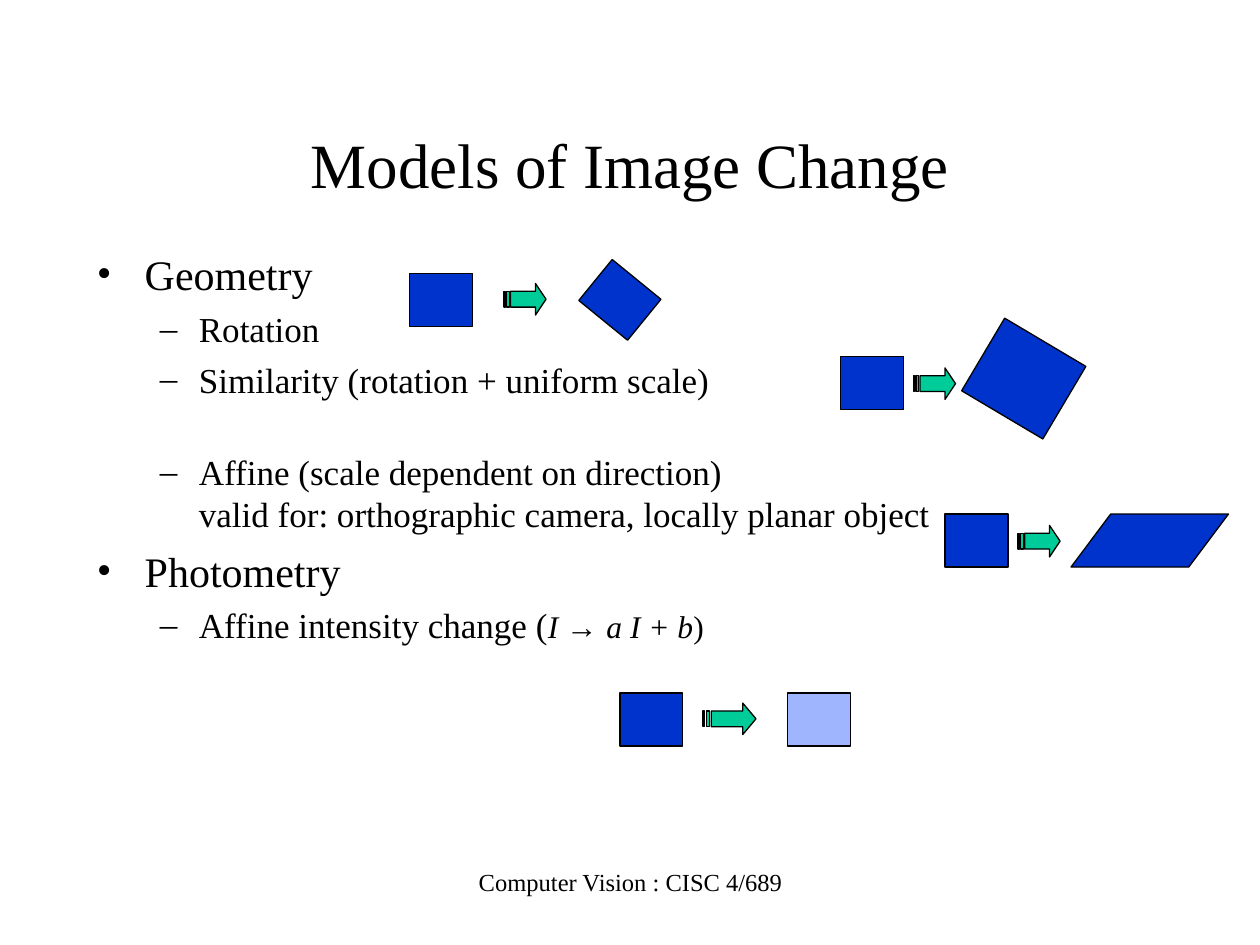
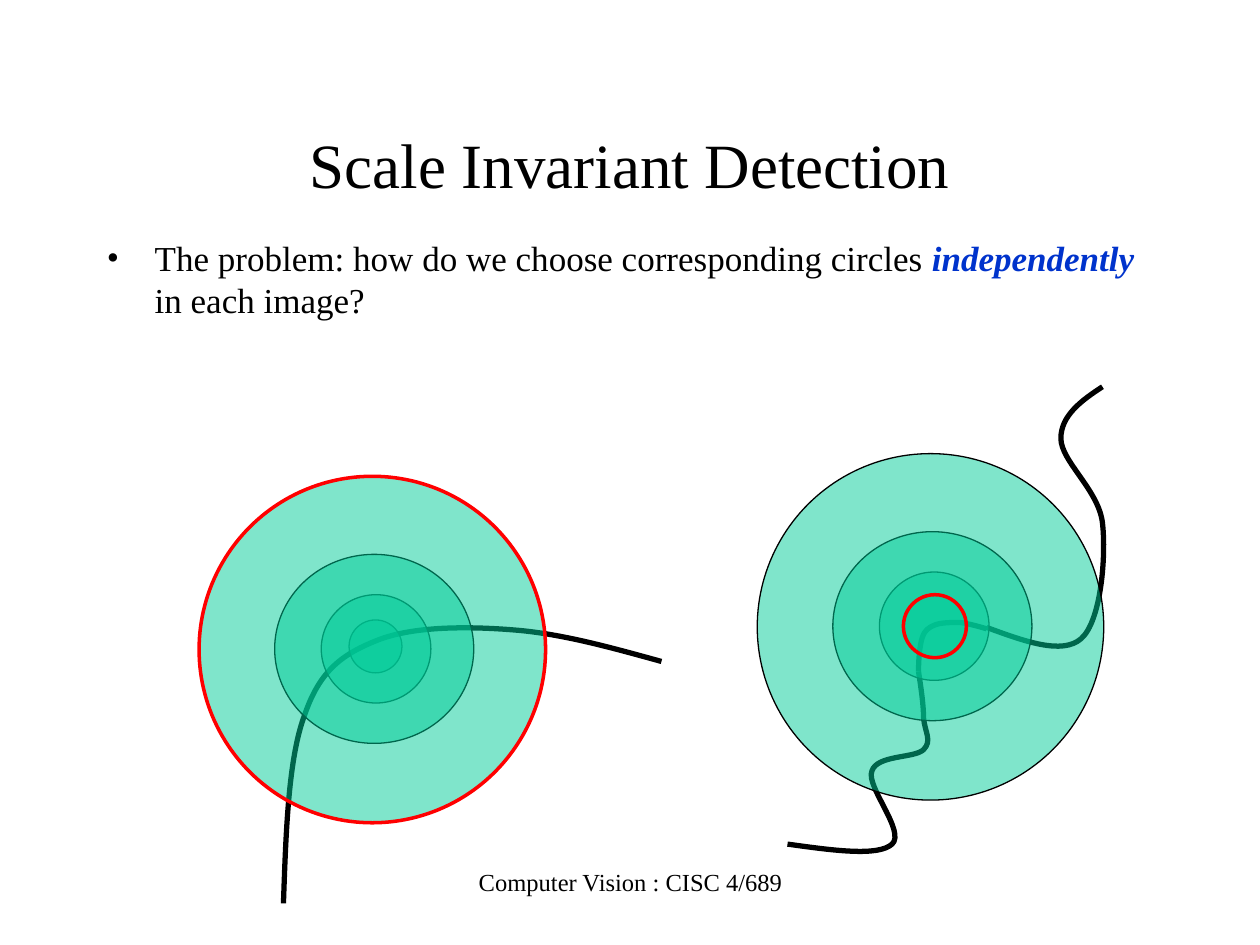
from lxml import etree
from pptx import Presentation
from pptx.dml.color import RGBColor
from pptx.enum.shapes import MSO_SHAPE
from pptx.enum.text import MSO_ANCHOR, PP_ALIGN
from pptx.oxml.ns import qn
from pptx.util import Inches, Pt

RECTANGLE = MSO_SHAPE.RECTANGLE
PARALLELOGRAM = MSO_SHAPE.PARALLELOGRAM
OVAL = MSO_SHAPE.OVAL
TOP, MIDDLE = MSO_ANCHOR.TOP, MSO_ANCHOR.MIDDLE
CENTER = PP_ALIGN.CENTER

# Shared style
BLACK, BLUE, PALE_BLUE = "000000", "0033CC", "9FB6FF"
GREEN, RED = "00CC99", "FF0000"
SERIF = "Times New Roman"
THIN, RING, CURVE = 0.75, 2, 3
PATCH = (0.5, 0.42)
BULLETS = {0: ("•", 0.38, 0.38), 1: ("–", 0.81, 0.31)}  # sign, margin, hang


def color(hex_code):
    return RGBColor.from_string(hex_code)


# Text
def add_text_frame(slide, left, top, width, height, anchor=TOP):
    box = slide.shapes.add_textbox(
        Inches(left), Inches(top), Inches(width), Inches(height))
    frame = box.text_frame
    frame.word_wrap = True
    frame.vertical_anchor = anchor
    return frame


def add_run(paragraph, text, size, hex_code=BLACK, font=SERIF,
            bold=False, italic=False):
    run = paragraph.add_run()
    run.text = text
    run.font.size = Pt(size)
    run.font.name = font
    run.font.bold = bold
    run.font.italic = italic
    run.font.color.rgb = color(hex_code)


def add_centered_line(slide, text, size, box, anchor=TOP):
    paragraph = add_text_frame(slide, *box, anchor).paragraphs[0]
    paragraph.alignment = CENTER
    add_run(paragraph, text, size)


def add_bullet(frame, level=0, space_before=None):
    first = frame.paragraphs[0]
    paragraph = frame.add_paragraph() if first.runs else first
    paragraph.level = level
    if space_before:
        paragraph.space_before = Pt(space_before)
    sign, margin, hang = BULLETS[level]
    properties = paragraph._p.get_or_add_pPr()
    properties.set("marL", str(Inches(margin)))
    properties.set("indent", str(-Inches(hang)))
    tint = etree.SubElement(properties, qn("a:buClr"))
    etree.SubElement(tint, qn("a:srgbClr"), val=BLACK)
    etree.SubElement(properties, qn("a:buFont"), typeface=SERIF)
    etree.SubElement(properties, qn("a:buChar"), char=sign)
    return paragraph


def add_titled_slide(deck, title):
    slide = deck.slides.add_slide(deck.slide_layouts[6])
    add_centered_line(slide, "Computer Vision : CISC 4/689", 14,
                      (3.42, 6.83, 3.17, 0.5))
    add_centered_line(slide, title, 36, (0.75, 0.67, 8.5, 1.25), MIDDLE)
    return slide


# Shapes
def paint(shape, fill, line=BLACK, width=THIN):
    shape.shadow.inherit = False
    if fill:
        shape.fill.solid()
        shape.fill.fore_color.rgb = color(fill)
    else:
        shape.fill.background()
    shape.line.color.rgb = color(line)
    shape.line.width = Pt(width)


def add_patch(slide, left, top, size=PATCH, rotation=0, fill=BLUE,
              kind=RECTANGLE):
    patch = slide.shapes.add_shape(
        kind, Inches(left), Inches(top), *map(Inches, size))
    patch.rotation = rotation
    paint(patch, fill)
    return patch


def add_striped_arrow(slide, left, top, width=1 / 3, height=0.25):
    def place(points):
        return [(Inches(left + x * width), Inches(top + y * height))
                for x, y in points]

    def stripe(start, end):
        return [(start, 0.25), (start, 0.75), (end, 0.75), (end, 0.25)]

    head = [(0.75, 0), (0.75, 0.25), (5 / 32, 0.25), (5 / 32, 0.75),
            (0.75, 0.75), (0.75, 1), (1, 0.5)]
    outline = place(head)
    builder = slide.shapes.build_freeform(*outline[0])
    builder.add_line_segments(outline[1:], close=True)
    for part in (stripe(1 / 16, 1 / 8), stripe(0, 1 / 32)):
        outline = place(part)
        builder.move_to(*outline[0])
        builder.add_line_segments(outline[1:], close=True)
    paint(builder.convert_to_shape(), GREEN)


def add_curve(slide, points):
    """Draw Bezier pieces: a start, then two handles and an end for each."""
    start, *rest = [(Inches(x), Inches(y)) for x, y in points]
    builder = slide.shapes.build_freeform(*start)
    builder.add_line_segments(rest, close=False)
    curve = builder.convert_to_shape()
    outline = next(curve._element.iter(qn("a:path")))
    segments = outline.findall(qn("a:lnTo"))
    for i in range(0, len(segments), 3):
        bezier = etree.SubElement(outline, qn("a:cubicBezTo"))
        for segment in segments[i:i + 3]:
            bezier.append(segment[0])
            outline.remove(segment)
    paint(curve, None, width=CURVE)


def add_ring(slide, left, top, width, height, chosen=False):
    ring = slide.shapes.add_shape(
        OVAL, Inches(left), Inches(top), Inches(width), Inches(height))
    paint(ring, GREEN, RED if chosen else BLACK, RING if chosen else THIN)
    tint = ring._element.spPr.find(qn("a:solidFill"))[0]
    etree.SubElement(tint, qn("a:alpha"), val="50000")


# Slide 1
def build_image_change(deck):
    slide = add_titled_slide(deck, "Models of Image Change")
    models = add_text_frame(slide, 0.67, 1.92, 8.58, 4.92)
    add_run(add_bullet(models), "Geometry", 24)
    add_run(add_bullet(models, 1, 5), "Rotation", 20)
    add_run(add_bullet(models, 1, 5), "Similarity (rotation + uniform scale)", 20)
    affine = add_bullet(models, 1, 29)
    add_run(affine, "Affine (scale dependent on direction)", 20)
    affine.add_line_break()
    add_run(affine, "valid for: orthographic camera, locally planar object", 20)
    add_run(add_bullet(models, 0, 6), "Photometry", 24)
    intensity = add_bullet(models, 1, 4.5)
    add_run(intensity, "Affine intensity change (", 20)
    add_run(intensity, "I ", 18, italic=True)
    add_run(intensity, "→ ", 18, font="Arial")
    add_run(intensity, "a I + b", 18, italic=True)
    add_run(intensity, ")", 18)

    # Patches before the change
    for left, top in [(3.25, 2.17), (6.67, 2.83), (7.5, 4.08), (4.92, 5.5)]:
        add_patch(slide, left, top)

    # Patches after the change
    add_patch(slide, 4.67, 2.17, rotation=39.2)
    add_patch(slide, 7.75, 2.67, (0.75, 0.67), rotation=30.7)
    sheared = add_patch(slide, 8.5, 4.08, (1.25, 0.42), kind=PARALLELOGRAM)
    sheared.adjustments[0] = 0.75
    add_patch(slide, 6.25, 5.5, fill=PALE_BLUE)

    for left, top in [(4, 2.25), (7.25, 2.92), (8.08, 4.17)]:
        add_striped_arrow(slide, left, top)
    add_striped_arrow(slide, 5.58, 5.58, width=0.42)


# Slide 2
def build_scale_detection(deck):
    slide = add_titled_slide(deck, "Scale Invariant Detection")
    question = add_bullet(add_text_frame(slide, 0.75, 1.83, 8.5, 4.5))
    add_run(question, "The problem: how do we choose corresponding circles ", 20)
    add_run(question, "independently", 20, BLUE, bold=True, italic=True)
    add_run(question, " in each image?", 20)

    # Contours: three parts on the right, one on the left
    contours = [
        [(7.83, 4.98), (8.13, 5.09), (8.43, 5.2), (8.58, 5.07),
         (8.74, 4.93), (8.78, 4.41), (8.75, 4.15),
         (8.72, 3.89), (8.42, 3.66), (8.42, 3.48),
         (8.42, 3.3), (8.58, 3.18), (8.75, 3.07)],
        [(6.25, 6.7), (6.61, 6.75), (6.97, 6.8), (7.08, 6.7),
         (7.19, 6.6), (6.87, 6.24), (6.92, 6.12),
         (6.96, 5.99), (7.26, 6.02), (7.33, 5.95),
         (7.4, 5.88), (7.34, 5.81), (7.33, 5.7),
         (7.33, 5.6), (7.31, 5.46), (7.29, 5.33)],
        [(7.29, 5.33), (7.29, 5.23), (7.3, 5.12), (7.32, 5.06),
         (7.34, 5), (7.37, 4.98), (7.42, 4.96),
         (7.47, 4.94), (7.55, 4.94), (7.62, 4.94),
         (7.69, 4.95), (7.76, 4.97), (7.83, 4.99)],
        [(2.25, 7.17), (2.27, 6.59), (2.29, 6.01), (2.42, 5.67),
         (2.54, 5.32), (2.72, 5.19), (3, 5.08),
         (3.28, 4.97), (3.71, 4.97), (4.08, 5),
         (4.46, 5.03), (4.85, 5.14), (5.25, 5.25)],
    ]
    for contour in contours:
        add_curve(slide, contour)

    # The same rings in both images; the matching one is red
    shared_rings = [(2.55, 4.72, 0.87, 0.86), (2.18, 4.4, 1.58, 1.5),
                    (1.58, 3.78, 2.75, 2.75)]
    largest = shared_rings[-1]
    add_ring(slide, 2.77, 4.92, 0.42, 0.42)
    for ring in shared_rings:
        add_ring(slide, *ring, chosen=ring == largest)
    for left, top, width, height in shared_rings:
        add_ring(slide, left + 4.43, top - 0.18, width, height)
    add_ring(slide, 7.17, 4.72, 0.5, 0.5, chosen=True)


def main():
    deck = Presentation()
    deck.slide_width, deck.slide_height = Inches(10), Inches(7.5)
    build_image_change(deck)
    build_scale_detection(deck)
    deck.save("out.pptx")


if __name__ == "__main__":
    main()
